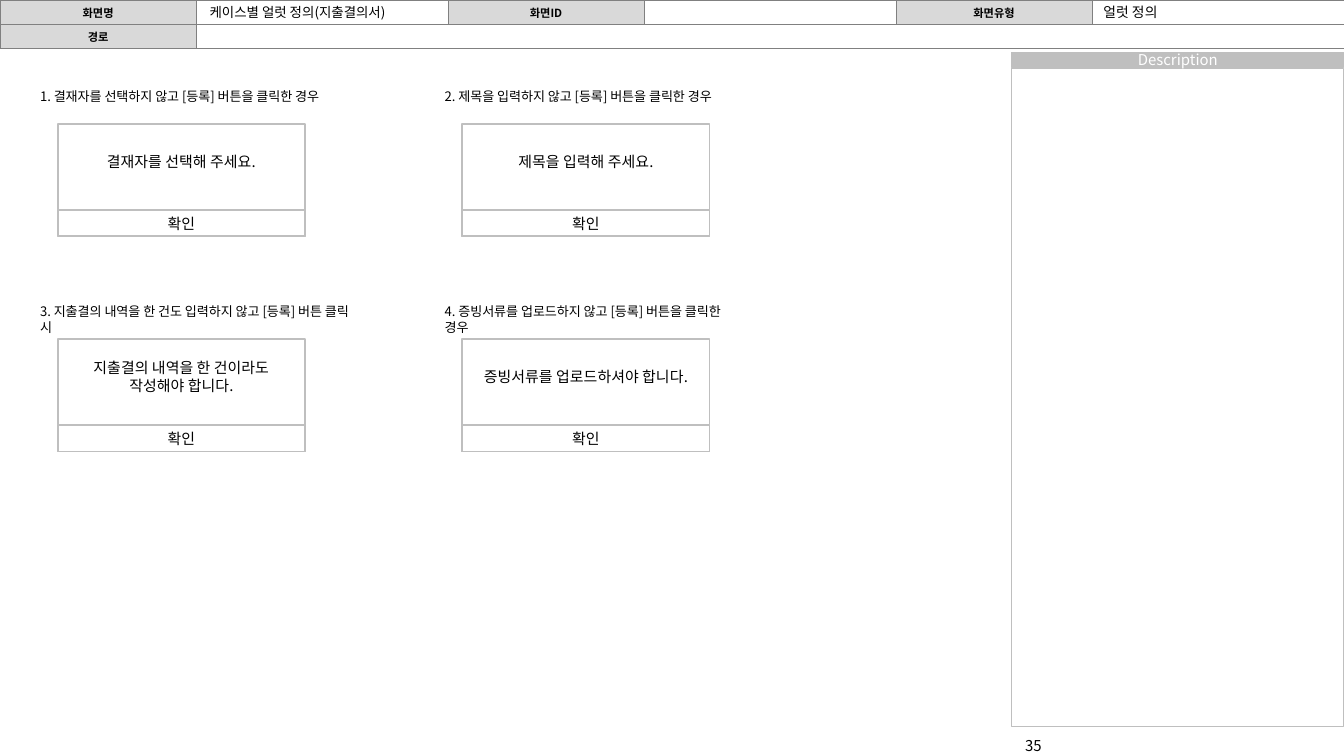
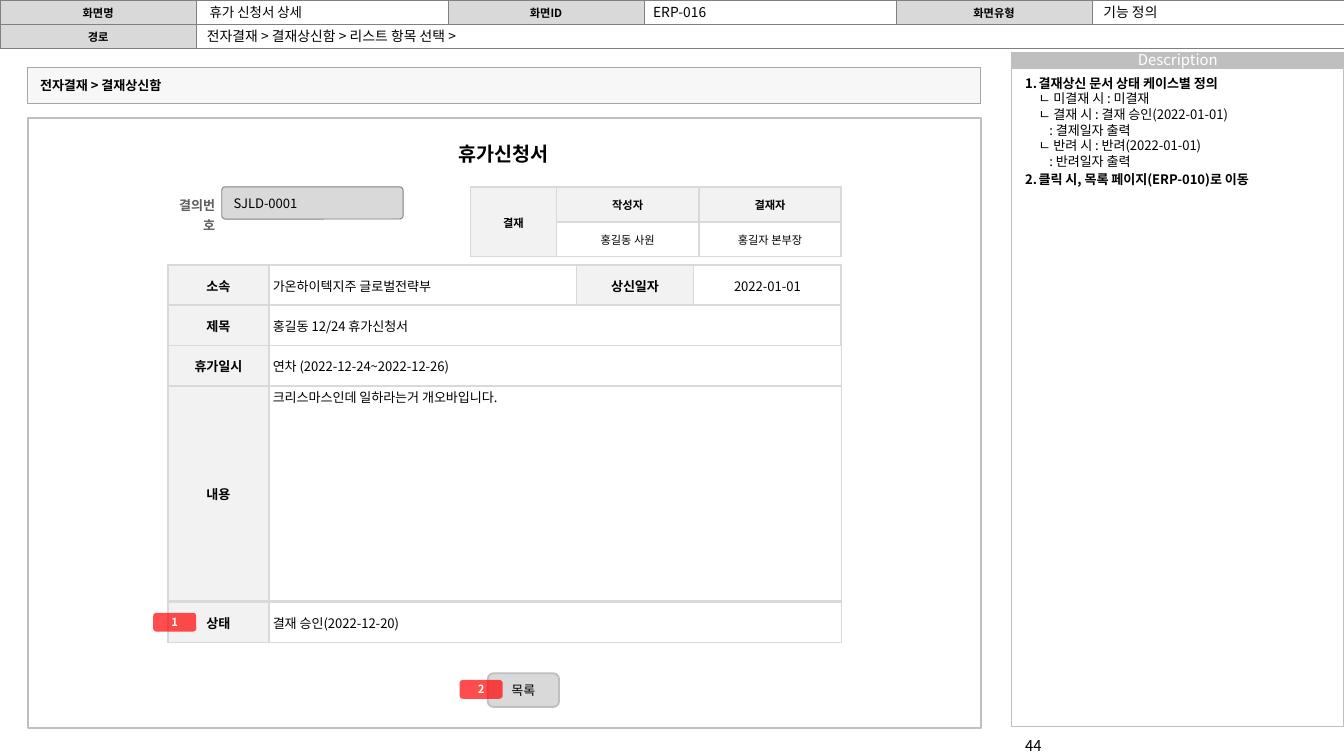
from dataclasses import dataclass

from lxml.etree import SubElement
from pptx import Presentation
from pptx.dml.color import RGBColor
from pptx.enum.shapes import MSO_SHAPE as SHAPE
from pptx.enum.text import MSO_ANCHOR as ANCHOR, MSO_AUTO_SIZE as AUTO_SIZE, PP_ALIGN as ALIGN
from pptx.oxml.ns import qn
from pptx.util import Inches, Pt

FONT = "Noto Sans CJK KR"
BLACK, WHITE, RED = "000000", "FFFFFF", "FF0000"
FRAME_GREY, LABEL_GREY, FORM_GREY = "BFBFBF", "D9D9D9", "F2F2F2"
MID_GREY, CRUMB_LINE, CAPTION_GREY = "808080", "A6A6A6", "5F5F5F"
TITLE_ONLY = 5

SLIDE_WIDTH = 10
SLIDE_HEIGHT = SLIDE_WIDTH * 9 / 16
HEADER_ROW = 0.18
LABEL_WIDTH = 1.46
VALUE_WIDTH = SLIDE_WIDTH / 3 - LABEL_WIDTH
SIDE_LEFT, SIDE_TOP, SIDE_WIDTH, SIDE_HEIGHT = 7.53, 0.51, 2.47, 4.9
FORM_LEFT, FORM_LABEL, FORM_VALUE = 1.25, 0.75, 4.26

DEFAULT_MARGINS = (0.1, 0.05, 0.1, 0.05)
FIELD_MARGINS = (0.08, 0.04, 0.08, 0.04)
HEADER_MARGINS = (0.04, 0.03, 0.04, 0.03)
FORM_MARGINS = (0.01, 0.01, 0.01, 0)


@dataclass
class Cell:
    text: str = ""
    fill: str = None
    bold: bool = False
    align: object = ALIGN.CENTER
    anchor: object = ANCHOR.MIDDLE
    span: tuple = None


def header_label(text):
    return Cell(text, LABEL_GREY, True)


def form_label(text, span=None):
    return Cell(text, FORM_GREY, True, span=span)


def form_value(text, anchor=ANCHOR.MIDDLE, span=None):
    return Cell(text, align=ALIGN.LEFT, anchor=anchor, span=span)


def rgb(color):
    return RGBColor.from_string(color)


def style_paragraph(paragraph, size, color=BLACK, bold=False, align=ALIGN.LEFT):
    paragraph.alignment = align
    font = paragraph.font
    font.size, font.bold, font.name = Pt(size), bold, FONT
    font.color.rgb = rgb(color)
    SubElement(font._rPr, qn("a:ea"), typeface=FONT)


def set_margins(target, margins):
    (target.margin_left, target.margin_top,
     target.margin_right, target.margin_bottom) = map(Inches, margins)


def write(shape, text, size, color=BLACK, bold=False, align=ALIGN.LEFT,
          anchor=ANCHOR.MIDDLE, margins=DEFAULT_MARGINS):
    frame = shape.text_frame
    frame.word_wrap = True
    frame.auto_size = AUTO_SIZE.NONE
    frame.vertical_anchor = anchor
    set_margins(frame, margins)
    frame.text = text
    for paragraph in frame.paragraphs:
        style_paragraph(paragraph, size, color, bold, align)


def add_text(slide, at, text, size, anchor=ANCHOR.TOP, **style):
    box = slide.shapes.add_textbox(*map(Inches, at))
    write(box, text, size, anchor=anchor, **style)
    return box


def add_box(shapes, at, fill=None, line=None, line_width=1.0, opacity=100,
            kind=SHAPE.RECTANGLE):
    box = shapes.add_shape(kind, *map(Inches, at))
    box.shadow.inherit = False
    if fill:
        box.fill.solid()
        box.fill.fore_color.rgb = rgb(fill)
        if opacity < 100:
            color = box.fill._xPr.find(".//" + qn("a:srgbClr"))
            SubElement(color, qn("a:alpha"), val=str(opacity * 1000))
    else:
        box.fill.background()
    if line:
        box.line.color.rgb = rgb(line)
        box.line.width = Pt(line_width)
    else:
        box.line.fill.background()
    return box


def set_borders(cell, color, width):
    properties = cell._tc.get_or_add_tcPr()
    for side in ("lnL", "lnR", "lnT", "lnB"):
        border = SubElement(properties, qn("a:" + side), w=str(Pt(width)))
        fill = SubElement(border, qn("a:solidFill"))
        SubElement(fill, qn("a:srgbClr"), val=color)


def add_grid(slide, left, top, widths, heights, rows, size, margins=FORM_MARGINS,
             border=LABEL_GREY, border_width=1.0):
    """Add a table; each Cell may span (rows, columns)."""
    table = slide.shapes.add_table(
        len(heights), len(widths), Inches(left), Inches(top),
        Inches(sum(widths)), Inches(sum(heights))).table
    table.first_row = table.horz_banding = False
    for column, width in zip(table.columns, widths):
        column.width = Inches(width)
    for row, height in zip(table.rows, heights):
        row.height = Inches(height)
    for r, row in enumerate(rows):
        for c, content in enumerate(row):
            cell = table.cell(r, c)
            set_borders(cell, border, border_width)
            if content.fill:
                cell.fill.solid()
                cell.fill.fore_color.rgb = rgb(content.fill)
            else:
                cell.fill.background()
            set_margins(cell, margins)
            if content.align == ALIGN.LEFT:
                cell.margin_left = Inches(0.03)
            cell.vertical_anchor = content.anchor
            cell.text = content.text
            paragraph = cell.text_frame.paragraphs[0]
            style_paragraph(paragraph, size, bold=content.bold, align=content.align)
            if not content.text:
                SubElement(paragraph._p, qn("a:endParaRPr"), sz=str(size * 100))
            if content.span:
                down, across = content.span
                cell.merge(table.cell(r + down - 1, c + across - 1))


def add_screen(deck, title, screen_type, page, screen_id=None, route=None):
    """Add a slide with the header table, description panel and page number."""
    slide = deck.slides.add_slide(deck.slide_layouts[TITLE_ONLY])
    add_box(slide.shapes, (SIDE_LEFT, SIDE_TOP, SIDE_WIDTH, SIDE_HEIGHT),
            line=FRAME_GREY, line_width=0.5)
    heading = add_box(slide.shapes, (SIDE_LEFT, 0.39, SIDE_WIDTH, 0.11),
                      FRAME_GREY, FRAME_GREY, 0.5)
    write(heading, "Description", 8, WHITE, align=ALIGN.CENTER, margins=(0.1, 0, 0.1, 0))

    blank = Cell(fill=WHITE)
    rows = [
        [header_label("화면명"), blank, header_label("화면ID"), blank,
         header_label("화면유형"), blank],
        [header_label("경로"), Cell(fill=WHITE, span=(1, 5))] + [blank] * 4,
    ]
    add_grid(slide, 0, 0, [LABEL_WIDTH, VALUE_WIDTH] * 3, [HEADER_ROW] * 2, rows, 6,
             HEADER_MARGINS, MID_GREY, 0.25)
    add_text(slide, (SIDE_LEFT, 5.43, 1.5, 0.24), page, 8)

    name = slide.shapes.title
    name.left, name.top, name.width, name.height = map(
        Inches, (LABEL_WIDTH, 0, 1.89, HEADER_ROW))
    write(name, title, 7.2, margins=(0.1, 0, 0.1, 0))
    slide.shapes._spTree.append(name._element)  # in front of the header table

    fields = [(screen_id, 4.78, 0, 1.87), (screen_type, 8.13, 0, 1.85),
              (route, LABEL_WIDTH, HEADER_ROW, SLIDE_WIDTH - LABEL_WIDTH)]
    for text, left, top, width in fields:
        if text:
            add_text(slide, (left, top, width, HEADER_ROW), text, 7.4,
                     anchor=ANCHOR.MIDDLE, margins=FIELD_MARGINS)
    return slide


def add_alert(slide, left, top, caption, caption_width, message):
    group = slide.shapes.add_group_shape()
    dialog = add_box(group.shapes, (left, top, 1.84, 0.84), WHITE, FRAME_GREY)
    write(dialog, message, 8, align=ALIGN.CENTER, margins=(0.1, 0.05, 0.1, 0.32))
    confirm = add_box(group.shapes, (left, top + 0.64, 1.84, 0.2), WHITE, FRAME_GREY)
    write(confirm, "확인", 8, align=ALIGN.CENTER, margins=(0.1, 0, 0.1, 0))
    add_text(slide, (left - 0.23, top - 0.31, caption_width, 0.22), caption, 7)


def add_marker(slide, left, top, number):
    marker = add_box(slide.shapes, (left, top, 0.32, 0.14), RED, opacity=70,
                     kind=SHAPE.ROUNDED_RECTANGLE)
    write(marker, number, 6, WHITE, True, ALIGN.CENTER, margins=(0, 0, 0, 0))


def add_description(slide, items):
    """Write numbered headings, each with (indent, text) details below it."""
    box = slide.shapes.add_textbox(
        *map(Inches, (SIDE_LEFT, SIDE_TOP, SIDE_WIDTH, SIDE_HEIGHT)))
    frame = box.text_frame
    frame.word_wrap = True
    for number, (heading, details) in enumerate(items, 1):
        paragraph = frame.paragraphs[0] if number == 1 else frame.add_paragraph()
        paragraph.text = heading
        properties = paragraph._p.get_or_add_pPr()
        properties.set("marL", str(Inches(0.1)))
        properties.set("indent", str(Inches(-0.1)))
        if number > 1:
            paragraph.space_before = Pt(1.4)
        SubElement(properties, qn("a:buFont"), typeface="+mj-lt")
        SubElement(properties, qn("a:buAutoNum"), type="arabicPeriod", startAt=str(number))
        style_paragraph(paragraph, 7, bold=True)
        for indent, text in details:
            paragraph = frame.add_paragraph()
            paragraph.text = text
            paragraph._p.get_or_add_pPr().set("marL", str(Inches(indent)))
            style_paragraph(paragraph, 7)


def build_alerts(deck):
    slide = add_screen(deck, "케이스별 얼럿 정의(지출결의서)", "얼럿 정의", "35")
    alerts = [
        ("1. 결재자를 선택하지 않고 [등록] 버튼을 클릭한 경우", 2.3,
         "결재자를 선택해 주세요."),
        ("2. 제목을 입력하지 않고 [등록] 버튼을 클릭한 경우", 2.19,
         "제목을 입력해 주세요."),
        ("3. 지출결의 내역을 한 건도 입력하지 않고 [등록] 버튼 클릭 시", 2.6,
         "지출결의 내역을 한 건이라도\n작성해야 합니다."),
        ("4. 증빙서류를 업로드하지 않고 [등록] 버튼을 클릭한 경우", 2.45,
         "증빙서류를 업로드하셔야 합니다."),
    ]
    for index, alert in enumerate(alerts):
        row, column = divmod(index, 2)
        add_alert(slide, 0.43 + 3.01 * column, 0.92 + 1.6 * row, *alert)


def build_leave_request(deck):
    slide = add_screen(deck, "휴가 신청서 상세", "기능 정의", "44", "ERP-016",
                       "전자결재 > 결재상신함 > 리스트 항목 선택 >")
    breadcrumb = add_box(slide.shapes, (0.2, 0.5, 7.09, 0.27), FORM_GREY, CRUMB_LINE,
                         0.25, opacity=60)
    write(breadcrumb, "전자결재 > 결재상신함", 7, bold=True)
    add_box(slide.shapes, (0.21, 0.88, 7.09, 4.54), WHITE, FRAME_GREY)
    add_text(slide, (3.03, 1.01, 1.43, 0.28), "휴가신청서", 10.5, bold=True,
             align=ALIGN.CENTER)

    document_number = add_box(slide.shapes, (1.65, 1.39, 1.35, 0.24), LABEL_GREY,
                              MID_GREY, 0.5, kind=SHAPE.ROUNDED_RECTANGLE)
    document_number.adjustments[0] = 0.11
    write(document_number, "SJLD-0001", 7, margins=(0.08, 0.03, 0.08, 0.03))
    number_label = add_text(slide, (FORM_LEFT, 1.44, 0.35, 0.14), "결의번호", 7,
                            color=CAPTION_GREY, bold=True, align=ALIGN.RIGHT,
                            margins=(0, 0, 0, 0))
    number_label.text_frame.paragraphs[0].line_spacing = 1.25

    add_grid(slide, 3.5, 1.39, [0.64, 1.06, 1.06], [0.26] * 2, [
        [form_label("결재", span=(2, 1)), form_label("작성자"), form_label("결재자")],
        [Cell(), Cell("홍길동 사원"), Cell("홍길자 본부장")],
    ], 6)
    add_grid(slide, FORM_LEFT, 1.97, [FORM_LABEL, 2.29, 0.87, 1.1], [0.3] * 2, [
        [form_label("소속"), form_value("가온하이텍지주 글로벌전략부"),
         form_label("상신일자"), Cell("2022-01-01")],
        [form_label("제목"), form_value("홍길동 12/24 휴가신청서", span=(1, 3)),
         Cell(), Cell()],
    ], 7)
    sections = [
        (2.57, 0.3, "휴가일시", "연차 (2022-12-24~2022-12-26)", ANCHOR.MIDDLE),
        (2.87, 1.6, "내용", "크리스마스인데 일하라는거 개오바입니다.", ANCHOR.TOP),
        (4.48, 0.3, "상태", "결재 승인(2022-12-20)", ANCHOR.MIDDLE),
    ]
    for top, height, label, value, anchor in sections:
        add_grid(slide, FORM_LEFT, top, [FORM_LABEL, FORM_VALUE], [height],
                 [[form_label(label), form_value(value, anchor)]], 7)

    list_button = add_box(slide.shapes, (3.63, 5.01, 0.53, 0.25), LABEL_GREY, FRAME_GREY,
                          kind=SHAPE.ROUNDED_RECTANGLE)
    write(list_button, "목록", 7, align=ALIGN.CENTER)
    add_marker(slide, 1.14, 4.56, "1")
    add_marker(slide, 3.42, 5.06, "2")

    add_description(slide, [
        ("결재상신 문서 상태 케이스별 정의", [
            (0.1, "ㄴ 미결재 시 : 미결재"),
            (0.1, "ㄴ 결재 시 : 결재 승인(2022-01-01)"),
            (0.18, ": 결제일자 출력"),
            (0.1, "ㄴ 반려 시 : 반려(2022-01-01)"),
            (0.18, ": 반려일자 출력"),
        ]),
        ("클릭 시, 목록 페이지(ERP-010)로 이동", []),
    ])


def main():
    deck = Presentation()
    deck.slide_width, deck.slide_height = Inches(SLIDE_WIDTH), Inches(SLIDE_HEIGHT)
    build_alerts(deck)
    build_leave_request(deck)
    deck.save("out.pptx")


if __name__ == "__main__":
    main()
